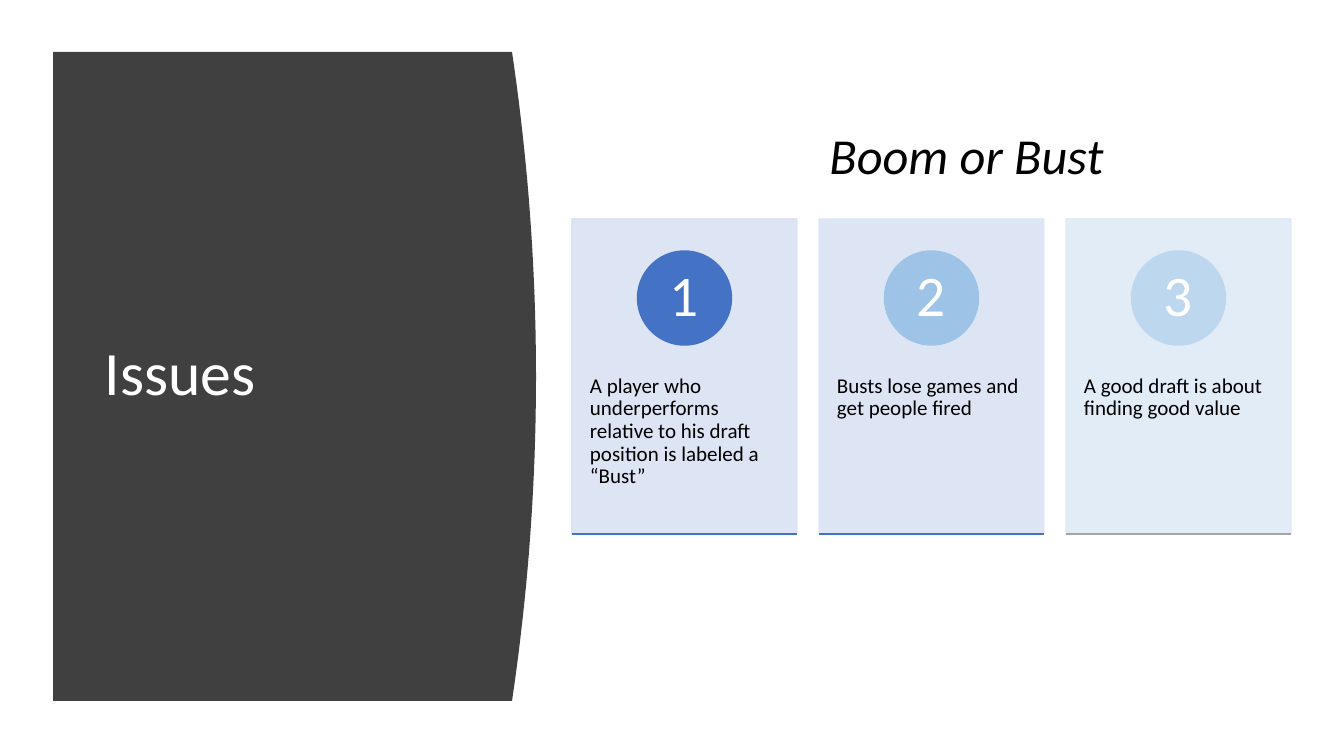
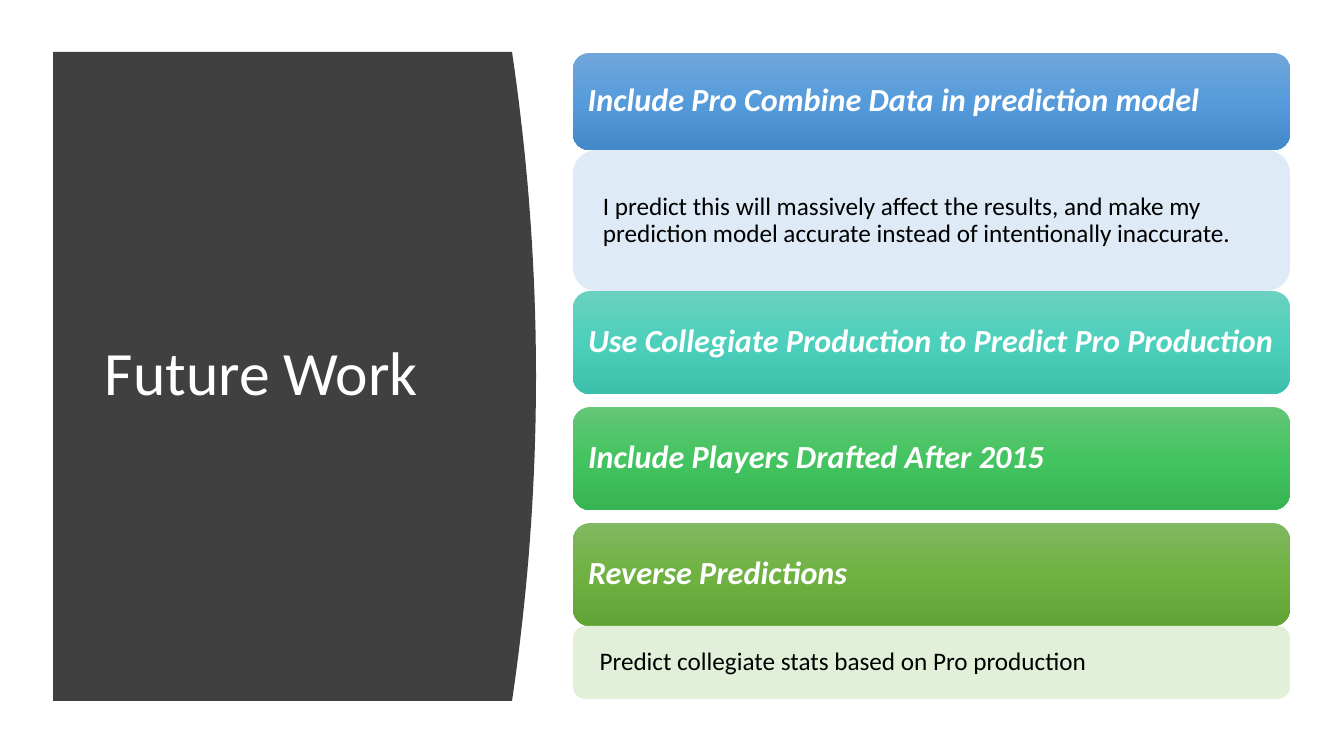
from copy import deepcopy

from lxml import etree
from pptx import Presentation
from pptx.dml.color import RGBColor
from pptx.enum.shapes import MSO_CONNECTOR, MSO_SHAPE
from pptx.enum.text import MSO_ANCHOR, PP_ALIGN
from pptx.oxml.ns import qn
from pptx.util import Emu, Pt

RECT, ROUND, OVAL = MSO_SHAPE.RECTANGLE, MSO_SHAPE.ROUNDED_RECTANGLE, MSO_SHAPE.OVAL
STRAIGHT = MSO_CONNECTOR.STRAIGHT
TOP, MIDDLE = MSO_ANCHOR.TOP, MSO_ANCHOR.MIDDLE
LEFT, CENTER = PP_ALIGN.LEFT, PP_ALIGN.CENTER

FONT = "Calibri"
WHITE, BLACK, PANEL = "FFFFFF", "000000", "404040"
DEFAULT_INSETS = (10, 5, 10, 5)
PANEL_BOX = (53, 52, 483, 649)
TITLE_BOX = (95, 112, 377, 528)
CARDS_BOX = (572, 219, 719, 315)
STACK_BOX = (573, 53, 717, 646)


def px(n):
    """Convert picture pixels to EMU."""
    return Emu(round(n * 914400 / 100.8))


def rgb(code):
    """Turn a hex string into a colour."""
    return RGBColor.from_string(code)


def write(sp, text, size, color, insets=DEFAULT_INSETS, anchor=TOP, align=LEFT,
          spacing=0.9, bold=False, italic=False):
    """Put one styled run of text into a shape."""
    tf = sp.text_frame
    tf.word_wrap = True
    tf.vertical_anchor = anchor
    tf.margin_left, tf.margin_top, tf.margin_right, tf.margin_bottom = map(px, insets)
    p = tf.paragraphs[0]
    p.alignment = align
    p.line_spacing = spacing
    r = p.add_run()
    r.text = text
    r.font.name = FONT
    r.font.size = Pt(size)
    r.font.bold = bold
    r.font.italic = italic
    r.font.color.rgb = rgb(color)


def add_text(s, box, *args, **style):
    """Add a text box holding one run."""
    write(s.shapes.add_textbox(*map(px, box)), *args, **style)


def add_box(s, kind, box, fill, line=None):
    """Add a flat preset shape, outlined when a line colour is given."""
    sp = s.shapes.add_shape(kind, *map(px, box))
    sp.shadow.inherit = False
    sp.fill.solid()
    sp.fill.fore_color.rgb = rgb(fill)
    if line:
        sp.line.color.rgb = rgb(line)
        sp.line.width = Pt(1)
    else:
        sp.line.fill.background()
    return sp


def set_opacity(sp, percent):
    """Make the fill and outline of a shape partly transparent."""
    for clr in sp._element.spPr.iter(qn("a:srgbClr")):
        etree.SubElement(clr, qn("a:alpha")).set("val", str(percent * 1000))


def set_gradient(sp, colors):
    """Fill a shape from top to bottom with three evenly spaced colours."""
    sp.fill.gradient()
    sp.fill.gradient_angle = 270
    stops = next(sp._element.spPr.iter(qn("a:gsLst")))
    stops.insert(1, deepcopy(stops[0]))
    for i, (stop, color) in enumerate(zip(sp.fill.gradient_stops, colors)):
        stop.position = i / 2
        stop.color.rgb = rgb(color)


def add_panel(s, box, bulge=24, steps=40):
    """Draw the dark panel whose right edge bows outwards."""
    x, y, w, h = box
    edge = []
    for i in range(steps + 1):
        t = 2 * i / steps - 1
        edge.append((px(x + w - bulge * t * t), px(y + h * i / steps)))
    fb = s.shapes.build_freeform(px(x), px(y))
    fb.add_line_segments(edge + [(px(x), px(y + h))], close=True)
    sp = fb.convert_to_shape()
    sp.shadow.inherit = False
    sp.fill.solid()
    sp.fill.fore_color.rgb = rgb(PANEL)
    sp.line.fill.background()


def new_slide(prs, title):
    """Add a blank slide with the shared panel and title."""
    s = prs.slides.add_slide(prs.slide_layouts[6])
    add_panel(s, PANEL_BOX)
    add_text(s, TITLE_BOX, title, 44, WHITE, anchor=MIDDLE)
    return s


def add_card(s, box, number, text, fill, line, accent, rule):
    """Draw a numbered card with a rule along its bottom edge."""
    x, y, w, h = box
    card = add_box(s, RECT, box, fill, line)
    set_opacity(card, 90)
    write(card, text, 15, BLACK, insets=(18, 156, 18, 36))
    d = 94
    badge = add_box(s, OVAL, (x + (w - d) / 2, y + 32, d, d), accent, accent)
    write(badge, str(number), 41, WHITE, insets=(7, 1, 7, 1), anchor=MIDDLE, align=CENTER)
    base = s.shapes.add_connector(STRAIGHT, px(x), px(y + h), px(x + w), px(y + h))
    base.line.color.rgb = rgb(rule)
    base.line.width = Pt(1)
    etree.SubElement(base._element.spPr, qn("a:effectLst"))


def add_cards(s, box, cards, gap=22):
    """Lay out equal cards side by side."""
    x, y, w, h = box
    card_w = (w - gap * (len(cards) - 1)) / len(cards)
    for i, card in enumerate(cards):
        add_card(s, (x + i * (card_w + gap), y, card_w, h), i + 1, *card)


def add_stack(s, box, items, gap=13):
    """Stack headings, each directly followed by its detail if it has one."""
    x, y, w, _ = box
    for heading, height, colors, detail in items:
        bar = add_box(s, ROUND, (x, y, w, height), colors[1])
        set_gradient(bar, colors)
        write(bar, heading, 23, WHITE, insets=(10, 10, 10, 10), anchor=MIDDLE,
              bold=True, italic=True)
        y += height
        if detail:
            text, detail_h, fill = detail
            note = add_box(s, ROUND, (x, y, w, detail_h), fill)
            write(note, text, 18, BLACK, insets=(23, 3, 16, 3), anchor=MIDDLE)
            y += detail_h
        else:
            y += gap


def issues_slide(prs):
    """Build the slide of three numbered issues."""
    s = new_slide(prs, "Issues")
    add_cards(s, CARDS_BOX, [
        ("A player who underperforms relative to his draft position is labeled a “Bust”",
         "DAE3F3", "DAE3F3", "4472C4", "4472C4"),
        ("Busts lose games and get people fired",
         "DAE3F3", "DEEBF7", "9DC3E6", "4472C4"),
        ("A good draft is about finding good value",
         "DEEBF7", "DEEBF7", "BDD7EE", "A5A5A5"),
    ])
    add_text(s, (710, 119, 513, 72), "Boom or Bust", 36, BLACK,
             align=CENTER, spacing=1.0, italic=True)


def future_slide(prs):
    """Build the slide of planned work."""
    s = new_slide(prs, "Future Work")
    add_stack(s, STACK_BOX, [
        ("Include Pro Combine Data in prediction model", 97,
         ("71A6DB", "559BDB", "448ACA"),
         ("I predict this will massively affect the results, and make my prediction "
          "model accurate instead of intentionally inaccurate.", 141, "DEEBF7")),
        ("Use Collegiate Production to Predict Pro Production", 103,
         ("6AD1C0", "4CD0BC", "3CC0AC"), None),
        ("Include Players Drafted After 2015", 103,
         ("64C677", "44C460", "36B552"), None),
        ("Reverse Predictions", 103,
         ("81B861", "6FB242", "62A336"),
         ("Predict collegiate stats based on Pro production", 73, "E2F0D9")),
    ])


def main():
    """Build and save the presentation."""
    prs = Presentation()
    prs.slide_width, prs.slide_height = px(1344), px(756)
    issues_slide(prs)
    future_slide(prs)
    prs.save("out.pptx")


main()
